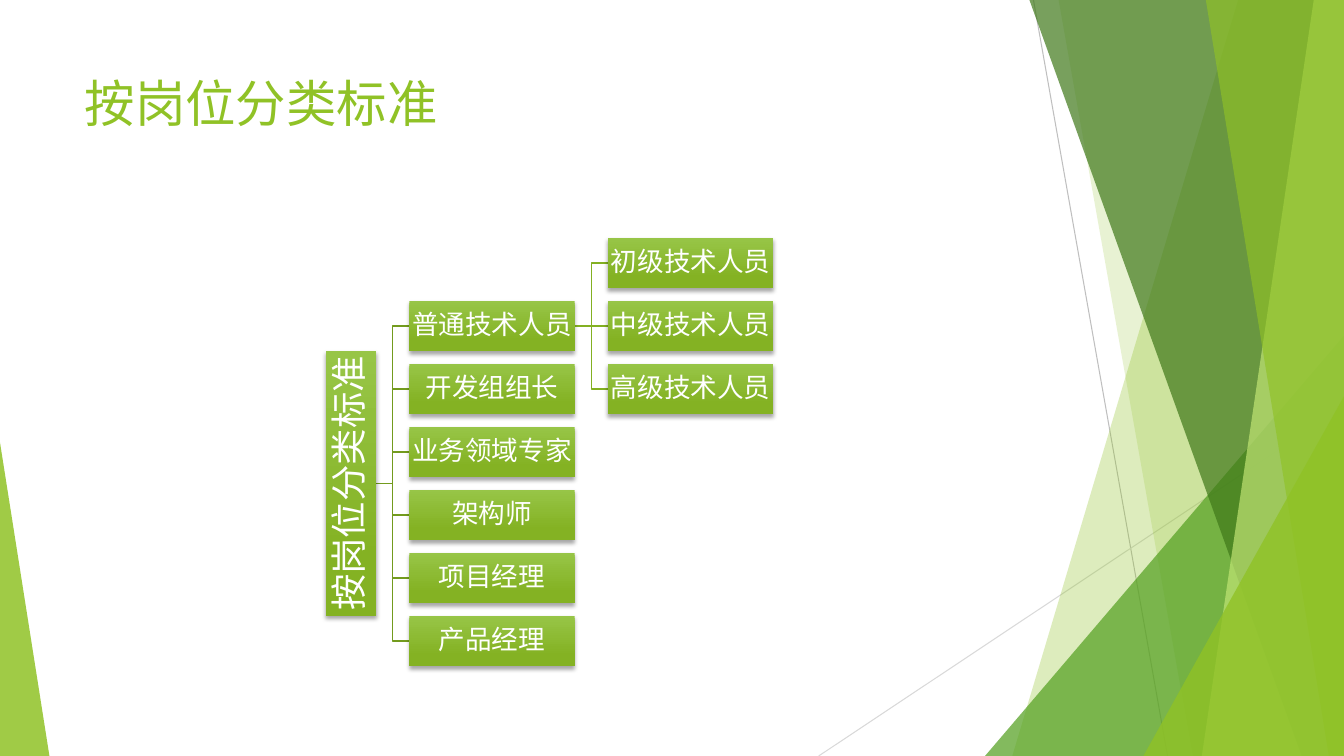
from lxml.etree import SubElement
from pptx import Presentation
from pptx.dml.color import RGBColor
from pptx.enum.shapes import MSO_CONNECTOR, MSO_SHAPE
from pptx.enum.text import MSO_ANCHOR, PP_ALIGN
from pptx.oxml.ns import qn
from pptx.util import Inches, Pt


def set_color(color_format, hex_color, opacity=100):
    color_format.rgb = RGBColor.from_string(hex_color)
    if opacity < 100:
        color = color_format._xFill.find(qn("a:srgbClr"))
        SubElement(color, qn("a:alpha"), val=str(opacity * 1000))


def add_line(kind, start, end, hex_color, width):
    line = slide.shapes.add_connector(kind, *map(Inches, start + end))
    set_color(line.line.color, hex_color)
    line.line.width = Pt(width)
    SubElement(line._element.spPr, qn("a:effectLst"))


presentation = Presentation()
presentation.slide_width = Inches(13.33)
presentation.slide_height = Inches(7.5)
slide = presentation.slides.add_slide(presentation.slide_layouts[5])

# Thin background lines
add_line(MSO_CONNECTOR.STRAIGHT, (10.25, 0), (11.58, 7.5), "BFBFBF", 0.75)
add_line(MSO_CONNECTOR.STRAIGHT, (13.33, 4.03), (8.12, 7.5), "D9D9D9", 0.75)

# Translucent facets: bands give top-left and bottom-left x and run to the right
# edge, triangles give left, top, width, height and the position of the apex
facets = [
    ("band", (12.28, 10.04), "90C226", 30),
    ("band", (10.5, 11.83), "90C226", 20),
    ("triangle", (9.77, 3.33, 3.56, 4.17, 1), "54A021", 72),
    ("band", (10.21, 12.91), "3F7819", 70),
    ("band", (13.03, 11.92), "C0E474", 70),
    ("band", (11.96, 13.18), "90C226", 65),
    ("triangle", (11.34, 3.93, 1.99, 3.57, 1), "90C226", 80),
    ("triangle", (0, 4.39, 0.49, 3.11, 0), "90C226", 85),
]
for kind, geometry, hex_color, opacity in facets:
    if kind == "band":
        top_x, bottom_x = geometry
        builder = slide.shapes.build_freeform(Inches(top_x), 0)
        corners = [(13.33, 0), (13.33, 7.5), (bottom_x, 7.5)]
        builder.add_line_segments([(Inches(x), Inches(y)) for x, y in corners])
        facet = builder.convert_to_shape()
    else:
        *box, apex = geometry
        facet = slide.shapes.add_shape(MSO_SHAPE.ISOSCELES_TRIANGLE, *map(Inches, box))
        facet.adjustments[0] = apex
    facet.shadow.inherit = False
    facet.fill.solid()
    set_color(facet.fill.fore_color, hex_color)
    alpha_parent = facet._element.spPr.find(qn("a:solidFill"))[0]
    SubElement(alpha_parent, qn("a:alpha"), val=str(opacity * 1000))
    facet.line.fill.background()

# Title
title = slide.shapes.title
title.left, title.top = Inches(0.74), Inches(0.67)
title.width, title.height = Inches(9.4), Inches(1.44)
title.text_frame.text = "按岗位分类标准"
title.text_frame.vertical_anchor = MSO_ANCHOR.TOP
title_paragraph = title.text_frame.paragraphs[0]
title_paragraph.alignment = PP_ALIGN.LEFT
title_font = title_paragraph.runs[0].font
title_font.name, title_font.size = "Roboto", Pt(36)
set_color(title_font.color, "90C226")

# Hierarchy layout
box_width, box_height = 1.64, 0.5
row_pitch = box_height * 1.25
level_gap = 0.33
root_left, root_top, root_height = 3.23, 3.48, 2.63
role_left = root_left + box_height + level_gap
grade_left = role_left + box_width + level_gap
first_top = 2.36

roles = ["普通技术人员", "开发组组长", "业务领域专家", "架构师", "项目经理", "产品经理"]
grades = ["初级技术人员", "中级技术人员", "高级技术人员"]
role_tops = [first_top + (row + 1) * row_pitch for row in range(len(roles))]
grade_tops = [first_top + row * row_pitch for row in range(len(grades))]

# Connectors from each parent to its children
branches = [
    (root_left + box_height, root_top + root_height / 2, role_left, role_tops, "739B1E"),
    (role_left + box_width, role_tops[0] + box_height / 2, grade_left, grade_tops, "83B022"),
]
for parent_x, parent_y, child_x, child_tops, hex_color in branches:
    for child_top in child_tops:
        child_y = child_top + box_height / 2
        level = abs(child_y - parent_y) < 0.01
        kind = MSO_CONNECTOR.STRAIGHT if level else MSO_CONNECTOR.ELBOW
        add_line(kind, (parent_x, parent_y), (child_x, child_y), hex_color, 1)

# Boxes: text, left, top, width, height, font size, inset
boxes = [("按岗位分类标准", root_left, root_top, box_height, root_height, 26, 0.02)]
for left, tops, names in [(role_left, role_tops, roles), (grade_left, grade_tops, grades)]:
    for top, name in zip(tops, names):
        boxes.append((name, left, top, box_width, box_height, 19, 0.01))

for text, left, top, width, height, size, inset in boxes:
    box = slide.shapes.add_shape(
        MSO_SHAPE.RECTANGLE, Inches(left), Inches(top), Inches(width), Inches(height))
    box.line.fill.background()
    box.fill.gradient()
    box.fill.gradient_angle = 270
    for stop, position, hex_color in zip(box.fill.gradient_stops, (0, 0.78), ("97C547", "84B223")):
        stop.position = position
        set_color(stop.color, hex_color)

    # Soft shadow below the box
    box.shadow.inherit = False
    effects = box._element.spPr.find(qn("a:effectLst"))
    shadow = SubElement(effects, qn("a:outerShdw"), blurRad=str(Pt(3)), dist=str(Pt(2)),
                        dir="5400000", rotWithShape="0")
    shadow_color = SubElement(shadow, qn("a:srgbClr"), val="000000")
    SubElement(shadow_color, qn("a:alpha"), val="35000")

    frame = box.text_frame
    frame.text = text
    frame.word_wrap = True
    frame.vertical_anchor = MSO_ANCHOR.MIDDLE
    frame.margin_left = frame.margin_right = Inches(inset)
    frame.margin_top = frame.margin_bottom = Inches(inset)
    if height > width:
        frame._txBody.bodyPr.set("vert", "vert270")
    paragraph = frame.paragraphs[0]
    paragraph.alignment = PP_ALIGN.CENTER
    paragraph.line_spacing = 0.9
    font = paragraph.runs[0].font
    font.name, font.size = "Roboto", Pt(size)
    set_color(font.color, "FFFFFF")

presentation.save("out.pptx")
